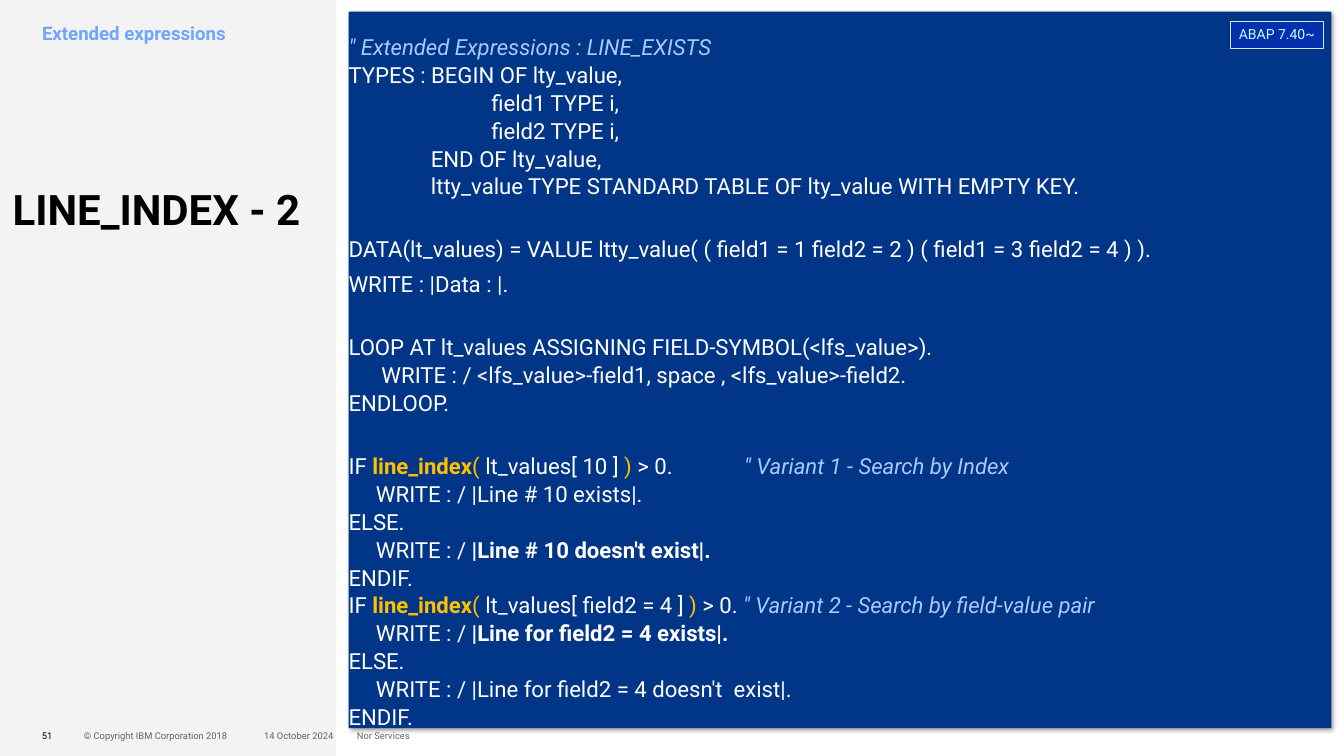
from dataclasses import dataclass

from lxml import etree
from pptx import Presentation
from pptx.dml.color import RGBColor
from pptx.enum.shapes import MSO_SHAPE
from pptx.enum.text import MSO_ANCHOR, PP_ALIGN
from pptx.oxml.ns import qn
from pptx.util import Inches, Pt

RECT = MSO_SHAPE.RECTANGLE
TOP, MIDDLE = MSO_ANCHOR.TOP, MSO_ANCHOR.MIDDLE
LEFT, RIGHT = PP_ALIGN.LEFT, PP_ALIGN.RIGHT


@dataclass(frozen=True)
class Theme:
    font: str = "Roboto"
    black: str = "000000"
    white: str = "FFFFFF"
    sidebar: str = "F3F3F3"
    kicker: str = "6EA6FF"
    code_fill: str = "003587"
    comment: str = "A8CAFF"
    keyword: str = "FFC000"
    badge_fill: str = "0530AD"
    badge_line: str = "CFE2FF"
    badge_text: str = "BEFFFE"
    title_size: float = 36
    kicker_size: float = 16
    code_size: float = 19
    badge_size: float = 12
    footer_size: float = 8


T = Theme()
STYLES = {
    "plain": (T.white, False, False),
    "bold": (T.white, True, False),
    "comment": (T.comment, False, True),
    "keyword": (T.keyword, True, False),
    "paren": (T.keyword, False, False),
}


def line_index_check(argument, gap, comment):
    return [("IF ", "plain"), ("line_index", "keyword"), ("( ", "paren"),
            (f"lt_values[ {argument} ] ", "plain"), (") ", "paren"),
            ("> 0." + gap, "plain"), (comment, "comment")]


def code(text, style="plain"):
    return [(text, style)]


CODE_BLOCKS = [
    (0, [
        code('" Extended Expressions : LINE_EXISTS', "comment"),
        code("TYPES : BEGIN OF lty_value,"),
        code(" " * 26 + "field1 TYPE i,"),
        code(" " * 26 + "field2 TYPE i,"),
        code(" " * 15 + "END OF lty_value,"),
        code(" " * 15 + "ltty_value TYPE STANDARD TABLE OF lty_value WITH EMPTY KEY."),
    ]),
    (30, [code("DATA(lt_values) = VALUE ltty_value( ( field1 = 1 field2 = 2 )"
               " ( field1 = 3 field2 = 4 ) ).")]),
    (6, [code("WRITE : |Data : |.")]),
    (30, [
        code("LOOP AT lt_values ASSIGNING FIELD-SYMBOL(<lfs_value>)."),
        code("      WRITE : / <lfs_value>-field1, space , <lfs_value>-field2."),
        code("ENDLOOP."),
    ]),
    (30, [
        line_index_check("10", "\t", '" Variant 1 - Search by Index'),
        code("     WRITE : / |Line # 10 exists|."),
        code("ELSE."),
        code("     WRITE : / ") + code("|Line # 10 doesn't exist|.", "bold"),
        code("ENDIF."),
        line_index_check("field2 = 4", " ", '" Variant 2 - Search by field-value pair'),
        code("     WRITE : / ") + code("|Line for field2 = 4 exists|.", "bold"),
        code("ELSE."),
        code("     WRITE : / |Line for field2 = 4 doesn't  exist|."),
        code("ENDIF."),
    ]),
]


def add_run(p, text, size, color, bold=False, italic=False, alpha=None):
    r = p.add_run()
    r.text = text
    r.font.name, r.font.size = T.font, Pt(size)
    r.font.bold, r.font.italic = bold, italic
    r.font.color.rgb = RGBColor.from_string(color)
    if alpha:
        clr = r._r.rPr.find(qn("a:solidFill"))[0]
        etree.SubElement(clr, qn("a:alpha"), val=str(alpha * 1000))


def setup_frame(tf, anchor=TOP, insets=(0, 0, 0, 0), wrap=True):
    tf.word_wrap = wrap
    tf.vertical_anchor = anchor
    tf.margin_left, tf.margin_top, tf.margin_right, tf.margin_bottom = map(Inches, insets)
    return tf.paragraphs[0]


def add_box(s, box, fill, line=None):
    sp = s.shapes.add_shape(RECT, *map(Inches, box))
    sp.shadow.inherit = False
    sp.fill.solid()
    sp.fill.fore_color.rgb = RGBColor.from_string(fill)
    if line:
        sp.line.color.rgb = RGBColor.from_string(line)
        sp.line.width = Pt(0.75)
    else:
        sp.line.fill.background()
    return sp


def add_label(s, box, text, size, color, anchor=TOP, align=LEFT, bold=False,
              spacing=1.0, alpha=None):
    sp = s.shapes.add_textbox(*map(Inches, box))
    p = setup_frame(sp.text_frame, anchor)
    p.alignment, p.line_spacing = align, spacing
    add_run(p, text, size, color, bold, alpha=alpha)


def add_footer(s, box):
    x, y, w, h = box
    for dx, width, text, align, alpha in (
        (0, 0.36, "51", LEFT, None),
        (0.5, 2.5, "© Copyright IBM Corporation 2018", LEFT, 60),
        (1.97, 1.5, "14 October 2024", RIGHT, 60),
        (3.75, 2.5, "Nor Services", LEFT, 60),
    ):
        add_label(s, (x + dx, y, width, h), text, T.footer_size, T.black,
                  MIDDLE, align, alpha=alpha)


def add_sidebar(s, box):
    x, y, w, h = box
    add_box(s, box, T.sidebar)
    title = s.shapes.title
    title.element.getparent().append(title.element)
    title.left, title.top = Inches(x + 0.15), Inches(y + 2.25)
    title.width, title.height = Inches(w - 0.2), Inches(4)
    p = setup_frame(title.text_frame)
    p.alignment, p.line_spacing = LEFT, 0.9
    add_run(p, "LINE_INDEX - 2", T.title_size, T.black, bold=True)
    add_label(s, (x + 0.5, y + 0.29, w - 0.75, 0.9), "Extended expressions",
              T.kicker_size, T.kicker, bold=True, spacing=0.9)


def add_shadow(sp):
    effects = sp.element.spPr.find(qn("a:effectLst"))
    shadow = etree.SubElement(effects, qn("a:outerShdw"), blurRad=str(Pt(4)),
                              dist=str(Pt(3)), dir="2700000", algn="tl", rotWithShape="0")
    clr = etree.SubElement(shadow, qn("a:srgbClr"), val=T.black)
    etree.SubElement(clr, qn("a:alpha"), val="40000")


def add_code_panel(s, box):
    x, y, w, h = box
    sp = add_box(s, box, T.code_fill)
    add_shadow(sp)
    tf = sp.text_frame
    setup_frame(tf, insets=(0, 0.24, 0, 0))
    for i, (before, lines) in enumerate(CODE_BLOCKS):
        p = tf.add_paragraph() if i else tf.paragraphs[0]
        p.alignment, p.line_spacing, p.space_before = LEFT, 1.05, Pt(before)
        if any("\t" in text for line in lines for text, style in line):
            tabs = etree.SubElement(p._p.get_or_add_pPr(), qn("a:tabLst"))
            etree.SubElement(tabs, qn("a:tab"), pos=str(Inches(4.71)), algn="l")
        for j, line in enumerate(lines):
            if j:
                p.add_line_break()
            for text, style in line:
                add_run(p, text, T.code_size, *STYLES[style])
    badge = add_box(s, (x + w - 1.2, y + 0.11, 1.1, 0.33), T.badge_fill, T.badge_line)
    p = setup_frame(badge.text_frame, insets=(0.1, 0.05, 0.1, 0.05), wrap=False)
    p.alignment, p.line_spacing = LEFT, 1.05
    add_run(p, "ABAP 7.40~", T.badge_size, T.badge_text)


def main():
    prs = Presentation()
    prs.slide_width, prs.slide_height = Inches(16), Inches(9)
    s = prs.slides.add_slide(prs.slide_layouts[5])
    add_sidebar(s, (0, 0, 4, 9))
    add_code_panel(s, (4.15, 0.14, 11.7, 8.53))
    add_footer(s, (0.5, 8.64, 6.25, 0.24))
    prs.save("out.pptx")


if __name__ == "__main__":
    main()
